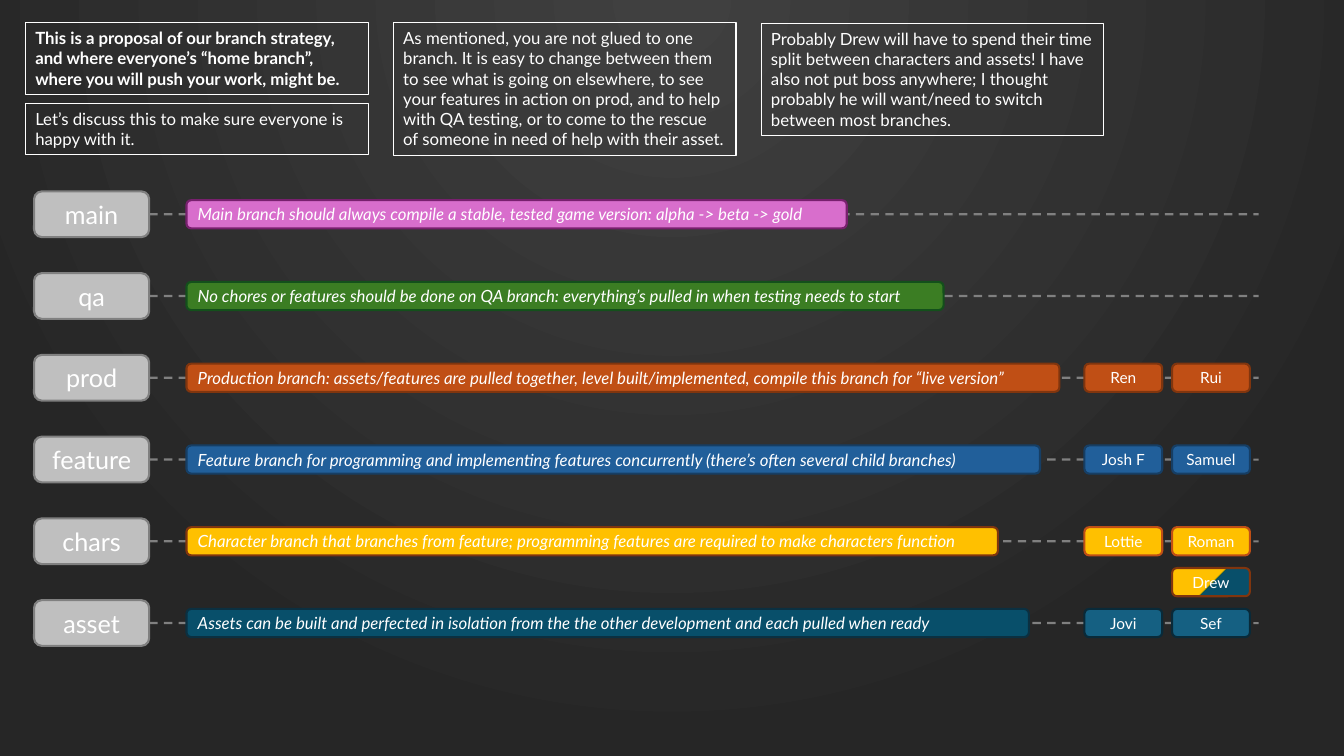
from dataclasses import dataclass

import lxml.etree
import pptx
import pptx.dml.color
import pptx.enum.dml
import pptx.enum.shapes
import pptx.enum.text
import pptx.oxml.ns
import pptx.util

Cm = pptx.util.Cm
Pt = pptx.util.Pt
qn = pptx.oxml.ns.qn
SHAPES = pptx.enum.shapes.MSO_SHAPE
ALIGN = pptx.enum.text.PP_ALIGN


@dataclass(frozen=True)
class Theme:
    font: str = "Lato"
    label_size: int = 18
    text_size: int = 12
    person_size: int = 11
    stroke: float = 1.5
    note_stroke: float = 0.75
    text: str = "FFFFFF"
    label: str = "BFBFBF"
    track: str = "808080"
    backdrop: tuple = ((0, "404040"), (100, "262626"))
    shared: tuple = ((0, "084F6A"), (48, "084F6A"), (50, "FFC000"), (100, "FFC000"))
    # each pair is fill, outline
    main: tuple = ("D86ECC", "78206E")
    qa: tuple = ("3B7D23", "13501B")
    prod: tuple = ("C04F15", "80350E")
    feature: tuple = ("215F9A", "163E64")
    chars: tuple = ("FFC000", "80350E")
    chars_person: tuple = ("FFC000", "C04F15")
    asset: tuple = ("084F6A", "0B3041")
    asset_person: tuple = ("156082", "092A39")


THEME = Theme()

# name, bar width, bar colours, purpose, person colours, people
BRANCHES = [
    ("main", 16.64, THEME.main,
     "Main branch should always compile a stable, tested game version: alpha -> beta -> gold",
     THEME.main, []),
    ("qa", 19.08, THEME.qa,
     "No chores or features should be done on QA branch: everything’s pulled in when testing "
     "needs to start", THEME.qa, []),
    ("prod", 22.0, THEME.prod,
     "Production branch: assets/features are pulled together, level built/implemented, "
     "compile this branch for “live version”", THEME.prod, ["Ren", "Rui"]),
    ("feature", 21.51, THEME.feature,
     "Feature branch for programming and implementing features concurrently "
     "(there’s often several child branches)", THEME.feature, ["Josh F", "Samuel"]),
    ("chars", 20.45, THEME.chars,
     "Character branch that branches from feature; programming features are required to "
     "make characters function", THEME.chars_person, ["Lottie", "Roman"]),
    ("asset", 21.23, THEME.asset,
     "Assets can be built and perfected in isolation from the the other development and "
     "each pulled when ready", THEME.asset_person, ["Jovi", "Sef"]),
]

# column, top, height, bold, text
NOTES = [
    (0, 0.58, 1.8, True,
     "This is a proposal of our branch strategy, and where everyone’s “home branch”, "
     "where you will push your work, might be."),
    (0, 2.62, 1.28, False,
     "Let’s discuss this to make sure everyone is happy with it."),
    (1, 0.58, 3.33, False,
     "As mentioned, you are not glued to one branch. It is easy to change between them to "
     "see what is going on elsewhere, to see your features in action on prod, and to help "
     "with QA testing, or to come to the rescue of someone in need of help with their asset."),
    (2, 0.6, 2.82, False,
     "Probably Drew will have to spend their time split between characters and assets! "
     "I have also not put boss anywhere; I thought probably he will want/need to switch "
     "between most branches."),
]

LABEL_WIDTH, LABEL_HEIGHT = 2.9, 1.15
BAR_OFFSET, BAR_HEIGHT = 3.84, 0.71
PERSON_OFFSET, PERSON_PITCH, PERSON_WIDTH = 26.47, 2.21, 1.96
ROW_LEFT, ROW_WIDTH, FIRST_ROW, ROW_PITCH = 0.86, 30.86, 5.4, 2.06
NOTE_LEFT, NOTE_WIDTH, NOTE_PITCH = 0.64, 8.64, 9.27


def rgb(value):
    return pptx.dml.color.RGBColor.from_string(value)


def set_gradient(fill, owner, stops):
    """Give the fill its stops and return the gradient element, still without direction."""
    fill.gradient()
    gradient = owner.element.find(".//" + qn("a:gradFill"))
    for child in list(gradient):
        gradient.remove(child)
    stop_list = lxml.etree.SubElement(gradient, qn("a:gsLst"))
    for position, color in stops:
        stop = lxml.etree.SubElement(stop_list, qn("a:gs"), pos=str(position * 1000))
        lxml.etree.SubElement(stop, qn("a:srgbClr"), val=color)
    return gradient


def paint_backdrop(slide):
    gradient = set_gradient(slide.background.fill, slide, THEME.backdrop)
    glow = lxml.etree.SubElement(gradient, qn("a:path"), {"path": "circle"})
    lxml.etree.SubElement(glow, qn("a:fillToRect"),
                          l="50000", t="-80000", r="50000", b="180000")


def add_box(slide, kind, left, top, width, height, colors, stroke, text, size,
            align=ALIGN.CENTER, bold=None, italic=None):
    box = slide.shapes.add_shape(kind, Cm(left), Cm(top), Cm(width), Cm(height))
    box.shadow.inherit = False
    fill, outline = colors
    if fill:
        box.fill.solid()
        box.fill.fore_color.rgb = rgb(fill)
    else:
        box.fill.background()
    box.line.color.rgb = rgb(outline)
    box.line.width = Pt(stroke)
    frame = box.text_frame
    frame.word_wrap = True
    frame.vertical_anchor = pptx.enum.text.MSO_ANCHOR.MIDDLE
    paragraph = frame.paragraphs[0]
    paragraph.alignment = align
    run = paragraph.add_run()
    run.text = text
    run.font.name = THEME.font
    run.font.size = Pt(size)
    run.font.color.rgb = rgb(THEME.text)
    run.font.bold = bold
    run.font.italic = italic
    return box


def add_note(slide, left, top, width, height, text, bold):
    note = add_box(slide, SHAPES.RECTANGLE, left, top, width, height, (None, THEME.text),
                   THEME.note_stroke, text, THEME.text_size, ALIGN.LEFT, bold=bold)
    note.text_frame.vertical_anchor = pptx.enum.text.MSO_ANCHOR.TOP
    note.text_frame.auto_size = pptx.enum.text.MSO_AUTO_SIZE.SHAPE_TO_FIT_TEXT


def add_track(slide, label, right, middle):
    """Draw the dashed line that runs from a branch label to the row's right end."""
    track = slide.shapes.add_connector(pptx.enum.shapes.MSO_CONNECTOR.STRAIGHT,
                                       label.left + label.width, Cm(middle),
                                       Cm(right), Cm(middle))
    track.begin_connect(label, 3)
    track.line.color.rgb = rgb(THEME.track)
    track.line.width = Pt(THEME.stroke)
    track.line.dash_style = pptx.enum.dml.MSO_LINE.DASH
    lxml.etree.SubElement(track.element.spPr, qn("a:effectLst"))


def add_person(slide, row_left, middle, seat, name, colors):
    return add_box(slide, SHAPES.ROUNDED_RECTANGLE,
                   row_left + PERSON_OFFSET + seat * PERSON_PITCH, middle - BAR_HEIGHT / 2,
                   PERSON_WIDTH, BAR_HEIGHT, colors, THEME.stroke, name, THEME.person_size)


def add_branch(slide, left, middle, width, branch):
    name, bar_width, bar_colors, purpose, person_colors, people = branch
    label = add_box(slide, SHAPES.ROUNDED_RECTANGLE, left, middle - LABEL_HEIGHT / 2,
                    LABEL_WIDTH, LABEL_HEIGHT, (THEME.label, THEME.track), THEME.stroke,
                    name, THEME.label_size)
    add_track(slide, label, left + width, middle)
    add_box(slide, SHAPES.ROUNDED_RECTANGLE, left + BAR_OFFSET, middle - BAR_HEIGHT / 2,
            bar_width, BAR_HEIGHT, bar_colors, THEME.stroke, purpose, THEME.text_size,
            ALIGN.LEFT, italic=True)
    for seat, person in enumerate(people):
        add_person(slide, left, middle, seat, person, person_colors)


def add_shared_person(slide, row_left, middle, name):
    """Place a person who works on both the chars and the asset branch."""
    person = add_person(slide, row_left, middle, 1, name, THEME.chars)
    gradient = set_gradient(person.fill, person, THEME.shared)
    lxml.etree.SubElement(gradient, qn("a:lin"), ang=str(225 * 60000), scaled="0")


def main():
    deck = pptx.Presentation()
    deck.slide_width, deck.slide_height = Cm(33.87), Cm(19.05)
    slide = deck.slides.add_slide(deck.slide_layouts[6])
    paint_backdrop(slide)
    for column, top, height, bold, text in NOTES:
        add_note(slide, NOTE_LEFT + column * NOTE_PITCH, top, NOTE_WIDTH, height, text, bold)
    for row, branch in enumerate(BRANCHES):
        add_branch(slide, ROW_LEFT, FIRST_ROW + row * ROW_PITCH, ROW_WIDTH, branch)
    add_shared_person(slide, ROW_LEFT, FIRST_ROW + 4.5 * ROW_PITCH, "Drew")
    deck.save("out.pptx")


if __name__ == "__main__":
    main()
